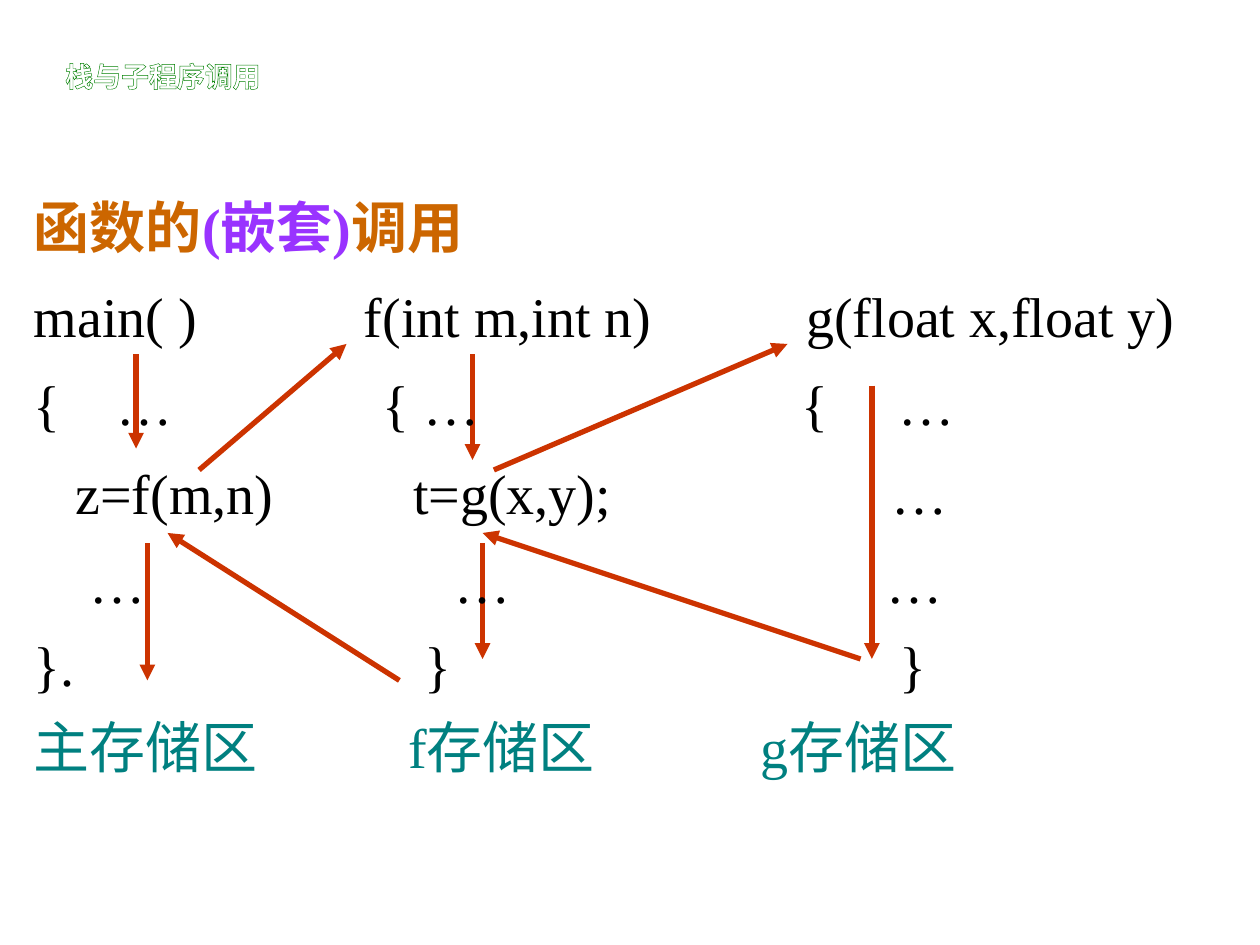
from lxml import etree
from pptx import Presentation
from pptx.dml.color import RGBColor
from pptx.enum.shapes import MSO_CONNECTOR
from pptx.enum.text import MSO_ANCHOR
from pptx.oxml.ns import qn
from pptx.util import Inches, Pt

STRAIGHT = MSO_CONNECTOR.STRAIGHT
TOP = MSO_ANCHOR.TOP
RED = RGBColor(0xCC, 0x33, 0x00)
ORANGE = RGBColor(0xCC, 0x66, 0x00)
PURPLE = RGBColor(0x99, 0x33, 0xFF)
BLACK = RGBColor(0x00, 0x00, 0x00)
TEAL = RGBColor(0x00, 0x80, 0x80)
WHITE = RGBColor(0xFF, 0xFF, 0xFF)
GREEN = "008000"
BODY_FONT = "Times New Roman"
TITLE_FONT = "Noto Sans CJK SC"

CALL_ARROWS = [
    (1.58, 3.73, 2.75, 2.73),
    (3.17, 5.4, 1.33, 4.23),
    (1.08, 2.81, 1.08, 3.56),
    (1.17, 4.31, 1.17, 5.4),
    (3.75, 2.81, 3.75, 3.65),
    (3.92, 3.73, 6.25, 2.73),
    (6.92, 3.06, 6.92, 5.23),
    (6.83, 5.23, 3.83, 4.23),
    (3.83, 4.31, 3.83, 5.23),
]
HEADING = [("函数的", ORANGE), ("(嵌套)", PURPLE), ("调用", ORANGE)]
CODE_ROWS = [
    ("main( )\tf(int m,int n)\tg(float x,float y)", (2.62, 6.13), 0.8, BLACK),
    ("{\t…\t{ …\t{\t…", (0.66, 2.77, 6.09, 6.86), 0.8, BLACK),
    ("\tz=f(m,n)\tt=g(x,y);\t…", (0.33, 3.01, 6.81), 0.8, BLACK),
    ("\t…\t…\t…", (0.44, 3.34, 6.77), 0.8, BLACK),
    ("}.\t}\t}", (3.1, 6.87), 0.7, BLACK),
    ("主存储区\tf存储区\tg存储区", (2.97, 5.77), 0.7, TEAL),
]


def add_arrow(shapes, start_x, start_y, end_x, end_y):
    """Draw one red arrow between two points given in inches."""
    arrow = shapes.add_connector(
        STRAIGHT, Inches(start_x), Inches(start_y), Inches(end_x), Inches(end_y)
    )
    arrow.line.color.rgb = RED
    arrow.line.width = Pt(3)
    etree.SubElement(arrow.line._get_or_add_ln(), qn("a:tailEnd"), type="triangle")
    etree.SubElement(arrow._element.spPr, qn("a:effectLst"))


def add_text_frame(slide, left, top, width, height, wrap):
    """Add a top-anchored text box and return its text frame."""
    shape = slide.shapes.add_textbox(
        Inches(left), Inches(top), Inches(width), Inches(height)
    )
    text_frame = shape.text_frame
    text_frame.word_wrap = wrap
    text_frame.vertical_anchor = TOP
    return text_frame


def set_tab_stops(paragraph, positions):
    """Give a paragraph left tab stops at positions in inches."""
    tab_list = etree.SubElement(paragraph._p.get_or_add_pPr(), qn("a:tabLst"))
    for position in positions:
        etree.SubElement(tab_list, qn("a:tab"), pos=str(Inches(position)), algn="l")


def add_title(slide, left, top, width, height):
    """Add the outlined slide title."""
    text_frame = add_text_frame(slide, left, top, width, height, False)
    paragraph = text_frame.paragraphs[0]
    run = paragraph.add_run()
    run.text = "栈与子程序调用"
    run.font.size = Pt(16)
    run.font.bold = True
    run.font.color.rgb = WHITE
    run.font.name = TITLE_FONT
    properties = run.font._element
    outline = etree.Element(qn("a:ln"), w=str(Pt(0.75)))
    fill = etree.SubElement(outline, qn("a:solidFill"))
    etree.SubElement(fill, qn("a:srgbClr"), val=GREEN)
    properties.insert(0, outline)
    etree.SubElement(properties, qn("a:ea"), typeface=TITLE_FONT)


def add_call_listing(slide, left, top, width, height):
    """Add the heading and the three functions side by side."""
    text_frame = add_text_frame(slide, left, top, width, height, True)
    heading = text_frame.paragraphs[0]
    heading.line_spacing = 0.8
    heading.font.name = BODY_FONT
    heading.font.size = Pt(32)
    heading.font.bold = True
    for text, color in HEADING:
        run = heading.add_run()
        run.text = text
        run.font.color.rgb = color
    for text, stops, spacing, color in CODE_ROWS:
        paragraph = text_frame.add_paragraph()
        set_tab_stops(paragraph, stops)
        paragraph.add_run().text = text
        paragraph.line_spacing = spacing
        paragraph.space_before = Pt(20)
        paragraph.font.name = BODY_FONT
        paragraph.font.size = Pt(32)
        paragraph.font.bold = False
        paragraph.font.color.rgb = color


def main():
    """Build and save the slide."""
    presentation = Presentation()
    presentation.slide_width = Inches(10)
    presentation.slide_height = Inches(7.5)
    slide = presentation.slides.add_slide(presentation.slide_layouts[6])
    arrows = slide.shapes.add_group_shape()
    for points in CALL_ARROWS:
        add_arrow(arrows.shapes, *points)
    add_call_listing(slide, 0.17, 1.58, 9.58, 5.02)
    add_title(slide, 0.42, 0.42, 4.67, 0.77)
    presentation.save("out.pptx")


if __name__ == "__main__":
    main()
